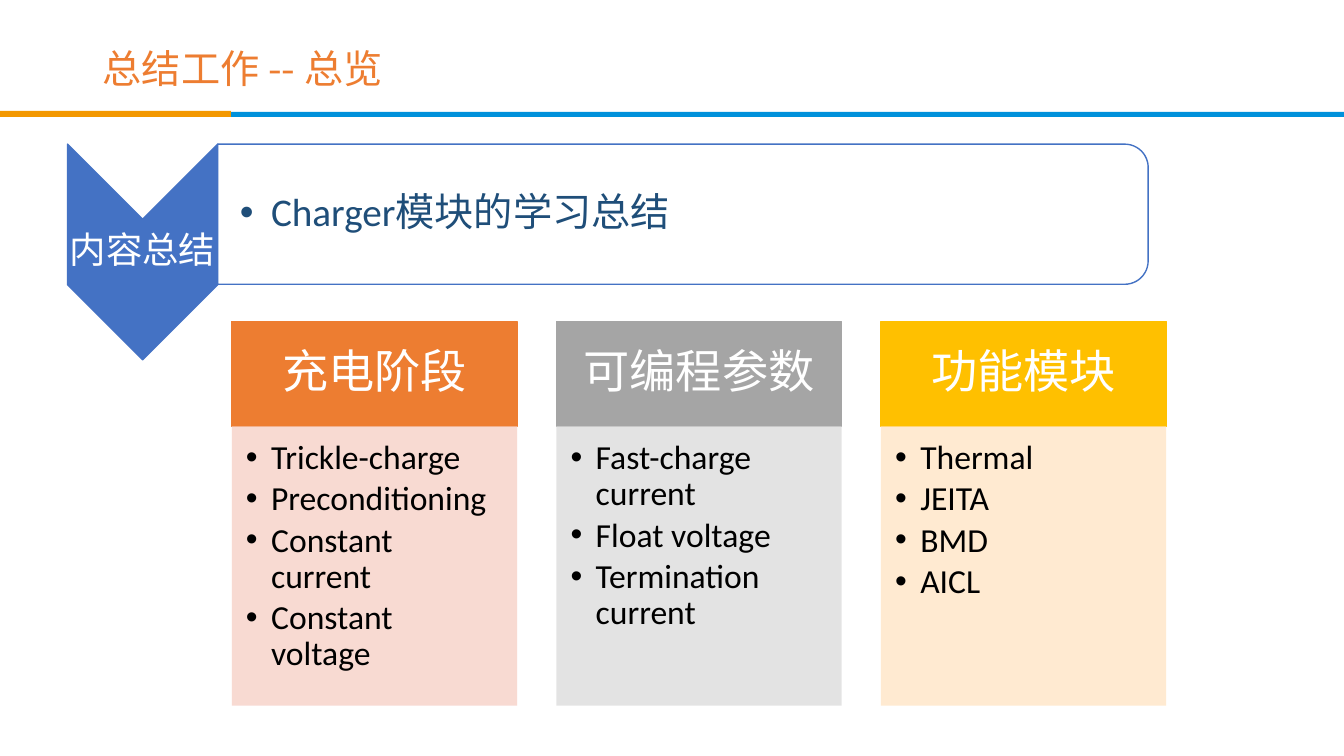
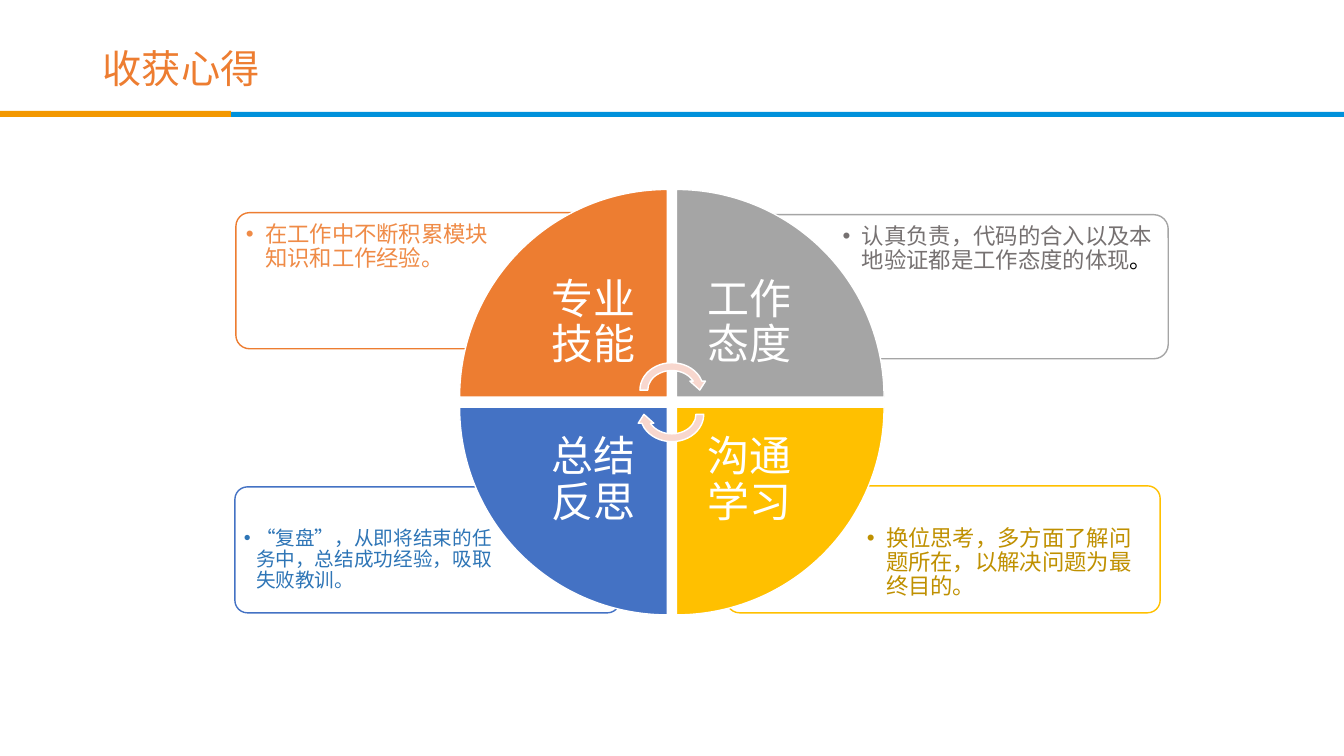
from typing import NamedTuple

from lxml.etree import SubElement
from pptx import Presentation
from pptx.dml.color import RGBColor
from pptx.enum.shapes import MSO_SHAPE
from pptx.enum.text import MSO_ANCHOR, MSO_AUTO_SIZE, PP_ALIGN
from pptx.oxml.ns import qn
from pptx.util import Inches, Pt

CELL = 0.1
COLUMNS, ROWS = 133.33, 75
LATIN, EAST_ASIAN = "Calibri", "Noto Sans CJK SC"
ORANGE, GRAY, GOLD, BLUE = "ED7D31", "A5A5A5", "FFC000", "4472C4"
WHITE, BLACK, BLUSH = "FFFFFF", "000000", "F8D7CE"
BAND_BLUE, BAND_ORANGE = "0091DB", "F39800"


class Box(NamedTuple):
    """A region measured in grid columns and rows."""

    left: float
    top: float
    width: float
    height: float

    def inside(self, left, top, width, height):
        """Return a region offset from this one's corner."""
        return Box(self.left + left, self.top + top, width, height)

    def turned(self):
        """Return the region with its sides swapped around its centre."""
        shift = (self.width - self.height) / 2
        return Box(self.left + shift, self.top - shift, self.height, self.width)

    def lengths(self):
        """Return the region as slide lengths."""
        return [Inches(value * CELL) for value in self]


def set_all(target, values):
    """Set each named attribute of an object."""
    for name, value in values.items():
        setattr(target, name, value)


def paint(fill, color, opacity=100):
    """Give a fill a solid colour and an opacity in percent."""
    fill.solid()
    fill.fore_color.rgb = RGBColor.from_string(color)
    if opacity < 100:
        color_element = next(fill._xPr.iter(qn("a:srgbClr")))
        SubElement(color_element, qn("a:alpha"), val=str(opacity * 1000))


def add_shape(slide, kind, box, color, line=None, opacity=100, rotation=0):
    """Add a flat shape whose visible extent is the box."""
    frame = box.turned() if rotation in (90, 270) else box
    shape = slide.shapes.add_shape(kind, *frame.lengths())
    shape.shadow.inherit = False
    shape.rotation = rotation
    paint(shape.fill, color, opacity)
    if line:
        paint(shape.line.fill, line)
        shape.line.width = Pt(1)
    else:
        shape.line.fill.background()
    return shape


def format_run(run, size, color, font=LATIN):
    """Set the fonts, size and colour of a run."""
    set_all(run.font, {"size": Pt(size), "name": font})
    run.font.color.rgb = RGBColor.from_string(color)
    SubElement(run.font._element, qn("a:ea"), typeface=EAST_ASIAN)


def write_text(shape, lines, size, color, insets, anchor=MSO_ANCHOR.MIDDLE,
               align=PP_ALIGN.CENTER, hang=0, font=LATIN):
    """Fill a shape with paragraphs, bulleted when a hanging indent is given."""
    frame = shape.text_frame
    sides = ("margin_left", "margin_top", "margin_right", "margin_bottom")
    set_all(frame, dict(zip(sides, map(Inches, insets))))
    set_all(frame, {"word_wrap": True, "auto_size": MSO_AUTO_SIZE.NONE,
                    "vertical_anchor": anchor})
    for index, line in enumerate(lines):
        paragraph = frame.add_paragraph() if index else frame.paragraphs[0]
        set_all(paragraph, {"alignment": align, "line_spacing": 0.9})
        format_run(paragraph.add_run(), size, color, font)
        paragraph.runs[0].text = line
        if hang:
            paragraph.space_after = Pt(round(size * 0.15, 1))
            properties = paragraph._p.get_or_add_pPr()
            properties.set("marL", str(Inches(hang)))
            properties.set("indent", str(-Inches(hang)))
            SubElement(properties, qn("a:buFont"), typeface="Arial")
            SubElement(properties, qn("a:buChar"), char="•")
    return frame


def add_text(slide, box, lines, size, color, insets, **options):
    """Add a text box over a region."""
    textbox = slide.shapes.add_textbox(*box.lengths())
    return write_text(textbox, lines, size, color, insets, **options)


def add_titled_slide(presentation, title):
    """Add a slide with the shared bands and title style."""
    slide = presentation.slides.add_slide(presentation.slide_layouts[5])
    add_shape(slide, MSO_SHAPE.RECTANGLE, Box(0, 11.1, COLUMNS, 0.5), BAND_BLUE)
    add_shape(slide, MSO_SHAPE.RECTANGLE, Box(0, 11, 22.9, 0.6), BAND_ORANGE)
    names = ("left", "top", "width", "height")
    set_all(slide.shapes.title, dict(zip(names, Box(9.2, 4, 109, 6).lengths())))
    write_text(slide.shapes.title, [title], 28, ORANGE, (0.1, 0.05, 0.1, 0.05),
               align=PP_ALIGN.LEFT, font=EAST_ASIAN)
    return slide


def add_banner(slide, box, label, line):
    """Add a downward chevron with a label and a rounded panel beside it."""
    arrow_width, panel_height = 14.9, 13.9
    panel = box.inside(arrow_width, 0, box.width - arrow_width, panel_height)
    add_shape(slide, MSO_SHAPE.CHEVRON, box.inside(0, 0, arrow_width, box.height),
              BLUE, BLUE, rotation=90)
    add_text(slide, box.inside(0, 7.5, arrow_width, 6.4), [label], 26, WHITE,
             (0.02,) * 4)
    add_shape(slide, MSO_SHAPE.ROUND_2_SAME_RECTANGLE, panel, WHITE, BLUE, 90,
              rotation=90)
    add_text(slide, panel, [line], 28, "1F4E79", (0.22, 0.02, 0.02, 0.02),
             align=PP_ALIGN.LEFT, hang=0.31)


def add_topic_column(slide, box, heading, items, color, tint):
    """Add a coloured heading above a tinted bullet list."""
    heading_height = 10.4
    header = add_shape(slide, MSO_SHAPE.RECTANGLE,
                       box.inside(0, 0, box.width, heading_height), color, color)
    write_text(header, [heading], 33, WHITE, (0.26, 0.15, 0.26, 0.15))
    body_box = box.inside(0, heading_height, box.width,
                          box.height - heading_height)
    body = add_shape(slide, MSO_SHAPE.RECTANGLE, body_box, tint, opacity=90)
    write_text(body, items, 24, BLACK, (0.14, 0.14, 0.19, 0.21),
               anchor=MSO_ANCHOR.TOP, align=PP_ALIGN.LEFT, hang=0.25)


def add_note_card(slide, box, text_area, line, text, color, size=16, hang=0.19,
                  ending=""):
    """Add an outlined card with a bulleted note in one area of it."""
    card = add_shape(slide, MSO_SHAPE.ROUNDED_RECTANGLE, box, WHITE, line, 90)
    card.adjustments[0] = 0.1
    frame = add_text(slide, box.inside(*text_area), [text], size, color,
                     (0.07,) * 4, anchor=MSO_ANCHOR.TOP, align=PP_ALIGN.LEFT,
                     hang=hang)
    if ending:
        run = frame.paragraphs[0].add_run()
        run.text = ending
        format_run(run, size, BLACK)


def add_wheel(slide, box, quarters):
    """Add four labelled wedges and the two arrows at their centre."""
    side, label_side = 20.6, 14.6
    for column, row, rotation, color, label in quarters:
        wedge = box.inside(column * (box.width - side), row * (box.height - side),
                           side, side)
        add_shape(slide, MSO_SHAPE.PIE_WEDGE, wedge, color, WHITE,
                  rotation=rotation)
        inner = side - label_side
        label_box = wedge.inside((1 - column) * inner, (1 - row) * inner,
                                 label_side, label_side)
        add_text(slide, label_box, [label], 30, WHITE, (0.23,) * 4)
    for top, rotation in ((16.8, 0), (19.2, 180)):
        arrow = box.inside((box.width - 7.1) / 2, top, 7.1, 6.2)
        add_shape(slide, MSO_SHAPE.CIRCULAR_ARROW, arrow, BLUSH, WHITE,
                  rotation=rotation)


def build_overview(presentation):
    """Build the work overview slide."""
    slide = add_titled_slide(presentation, "总结工作 -- 总览")
    topics = (
        ("充电阶段", ["Trickle-charge", "Preconditioning", "Constant current",
                  "Constant voltage"], ORANGE, BLUSH),
        ("可编程参数", ["Fast-charge current", "Float voltage",
                   "Termination current"], GRAY, "E1E1E1"),
        ("功能模块", ["Thermal", "JEITA", "BMD", "AICL"], GOLD, "FFE8CC"),
    )
    for index, topic in enumerate(topics):
        add_topic_column(slide, Box(23 + index * 32.2, 31.9, 28.3, 38.1), *topic)
    add_banner(slide, Box(6.7, 14.3, 107.2, 21.4), "内容总结",
               "Charger模块的学习总结")


def build_lessons(presentation):
    """Build the lessons learned slide."""
    slide = add_titled_slide(presentation, "收获心得")
    add_note_card(slide, Box(72.1, 48.2, 43, 12.6), (13.2, 3.4, 29.6, 8.9), GOLD,
                  "换位思考，多方面了解问题所在，以解决问题为最终目的。", "BF9000")
    add_note_card(slide, Box(23.3, 48.3, 38.2, 12.5), (0.2, 3.4, 26.2, 8.8), BLUE,
                  "“复盘”，从即将结束的任务中，总结成功经验，吸取失败教训。",
                  "2E75B6", size=14, hang=0.12)
    add_note_card(slide, Box(68.3, 21.3, 47.6, 14.3), (14.6, 0.3, 32.7, 10.1), GRAY,
                  "认真负责，代码的合入以及本地验证都是工作态度的体现", "767171",
                  ending="。")
    add_note_card(slide, Box(23.4, 21.1, 38.5, 13.5), (0.3, 0.3, 26.4, 9.6), ORANGE,
                  "在工作中不断积累模块知识和工作经验。", "EF8B47")
    quarters = (
        (0, 0, 0, ORANGE, "专业技能"),
        (1, 0, 90, GRAY, "工作态度"),
        (1, 1, 180, GOLD, "沟通学习"),
        (0, 1, 270, BLUE, "总结反思"),
    )
    add_wheel(slide, Box(45.6, 18.8, 42.1, 42.2), quarters)


def main():
    """Build and save the presentation."""
    presentation = Presentation()
    set_all(presentation, {"slide_width": Inches(COLUMNS * CELL),
                           "slide_height": Inches(ROWS * CELL)})
    build_overview(presentation)
    build_lessons(presentation)
    presentation.save("out.pptx")


if __name__ == "__main__":
    main()
